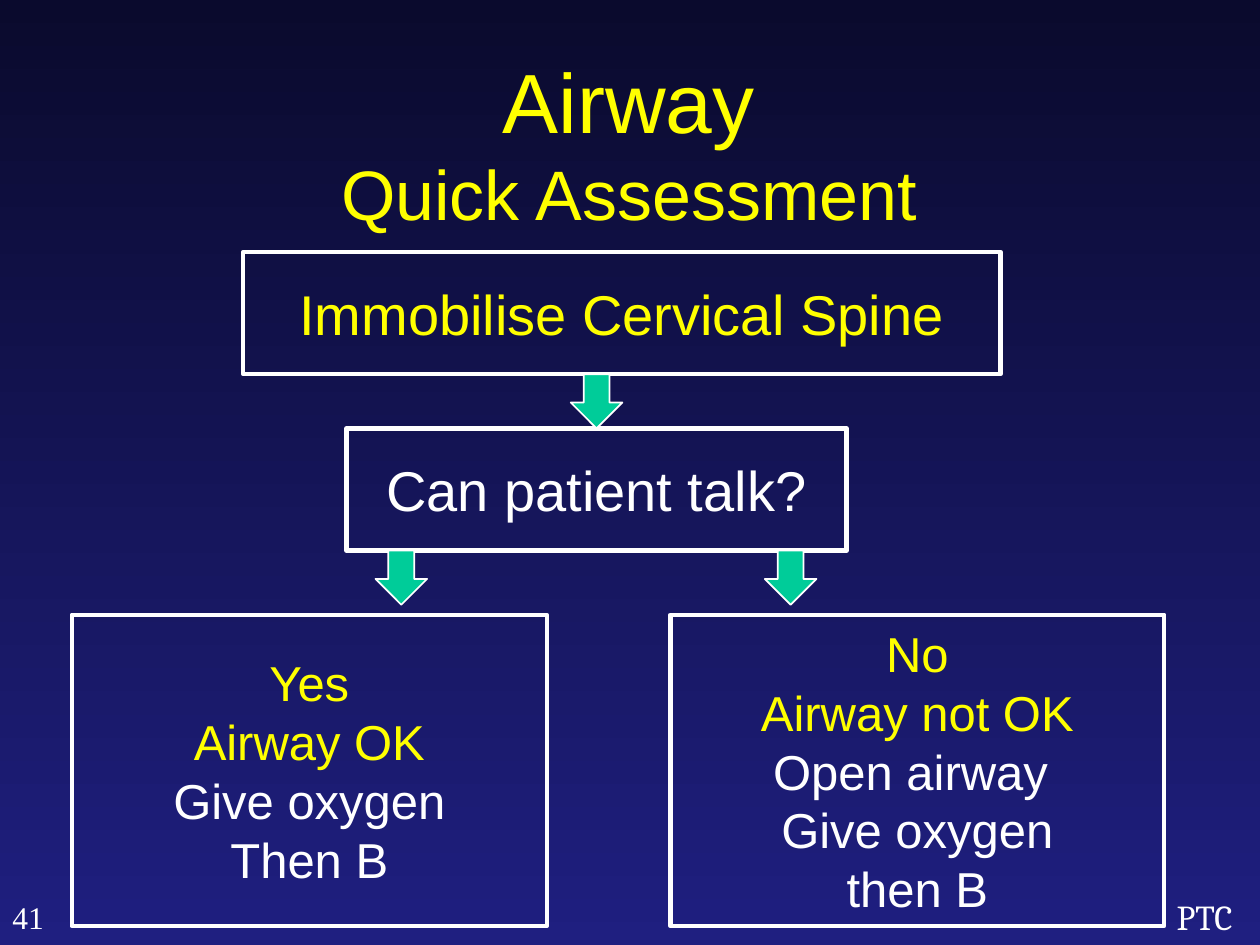
from dataclasses import dataclass

from pptx import Presentation
from pptx.dml.color import RGBColor
from pptx.enum.shapes import MSO_SHAPE
from pptx.enum.text import MSO_ANCHOR, PP_ALIGN
from pptx.shapes.autoshape import Shape
from pptx.slide import Slide
from pptx.text.text import TextFrame
from pptx.util import Inches, Pt

WHITE = RGBColor(0xFF, 0xFF, 0xFF)
YELLOW = RGBColor(0xFF, 0xFF, 0x00)
GREEN = RGBColor(0x00, 0xCC, 0x99)
NIGHT = RGBColor(0x0A, 0x0A, 0x2D)
NAVY = RGBColor(0x1F, 0x1F, 0x80)

WIDE, HIGH = Inches(10), Inches(7.5)
COLS, ROWS = 100, 75


@dataclass(frozen=True)
class Area:
    """Place on the grid, in columns and rows."""
    col: float
    row: float
    cols: float
    rows: float

    def spot(self) -> tuple[int, int, int, int]:
        """Turn grid cells into slide lengths."""
        x, y = WIDE / COLS, HIGH / ROWS
        return (round(self.col * x), round(self.row * y),
                round(self.cols * x), round(self.rows * y))


@dataclass(frozen=True)
class Line:
    """One line of text with its look."""
    text: str
    size: int
    tint: RGBColor = WHITE
    font: str = "Arial"


@dataclass(frozen=True)
class Step:
    """One outlined box of the flow."""
    area: Area
    lines: tuple[Line, ...]


BOX, TOP, MID, LOW = 9.7, 20, 34, 48.8
STEPS = (
    Step(Area(27.5, MID, 39.7, BOX), (Line("Can patient talk?", 32),)),
    Step(Area(5.7, LOW, 37.7, 24.7), (
        Line("Yes", 28, YELLOW), Line("Airway OK", 28, YELLOW),
        Line("Give oxygen", 28), Line("Then B", 28))),
    Step(Area(53.2, LOW, 39.2, 24.7), (
        Line("No", 28, YELLOW), Line("Airway not OK", 28, YELLOW),
        Line("Open airway ", 28), Line("Give oxygen", 28),
        Line("then B", 28))),
    Step(Area(19.3, TOP, 60.1, BOX),
         (Line("Immobilise Cervical Spine", 32, YELLOW),)),
)
ARROWS = ((45.3, TOP + BOX), (60.7, MID + BOX), (29.8, MID + BOX))
TITLE = (Line("Airway", 48, YELLOW), Line("Quick Assessment", 40, YELLOW))
MARKS = (
    (Area(92.4, 70.6, 7.8, 4.4), Line("PTC", 20, font="Cambria")),
    (Area(0, 70.8, 4.5, 4), Line("41", 18, font="Times New Roman")),
)


def add_run(para, line: Line) -> None:
    """Add one styled run to a paragraph."""
    run = para.add_run()
    run.text = line.text
    run.font.size = Pt(line.size)
    run.font.name = line.font
    run.font.color.rgb = line.tint


def fill_text(frame: TextFrame, lines: tuple[Line, ...]) -> None:
    """Write centred lines, one paragraph each."""
    frame.word_wrap = False
    frame.vertical_anchor = MSO_ANCHOR.MIDDLE
    for i, line in enumerate(lines):
        para = frame.add_paragraph() if i else frame.paragraphs[0]
        para.alignment = PP_ALIGN.CENTER
        add_run(para, line)


def add_form(slide: Slide, kind: MSO_SHAPE, area: Area, width: float) -> Shape:
    """Add a flat shape with a white outline."""
    form = slide.shapes.add_shape(kind, *area.spot())
    form.shadow.inherit = False
    form.line.color.rgb = WHITE
    form.line.width = Pt(width)
    return form


def add_step(slide: Slide, step: Step) -> None:
    """Draw one box of the flow."""
    box = add_form(slide, MSO_SHAPE.RECTANGLE, step.area, 2.5)
    box.fill.background()
    fill_text(box.text_frame, step.lines)


def add_arrow(slide: Slide, col: float, row: float) -> None:
    """Draw one green arrow pointing down."""
    arrow = add_form(slide, MSO_SHAPE.DOWN_ARROW, Area(col, row, 4.1, 4.3), 1)
    arrow.fill.solid()
    arrow.fill.fore_color.rgb = GREEN


def add_title(slide: Slide) -> None:
    """Write the title and its second line."""
    frame = slide.shapes.add_textbox(*Area(7.4, 5, 85, 12.5).spot()).text_frame
    frame.word_wrap = True
    frame.vertical_anchor = MSO_ANCHOR.MIDDLE
    para = frame.paragraphs[0]
    para.alignment = PP_ALIGN.CENTER
    head, tail = TITLE
    add_run(para, head)
    para.add_line_break()
    add_run(para, tail)


def add_mark(slide: Slide, area: Area, line: Line) -> None:
    """Write a short mark in a corner."""
    frame = slide.shapes.add_textbox(*area.spot()).text_frame
    frame.word_wrap = False
    add_run(frame.paragraphs[0], line)


def paint(slide: Slide) -> None:
    """Shade the slide from top to bottom."""
    fill = slide.background.fill
    fill.gradient()
    fill.gradient_angle = 270
    for stop, tint, place in zip(fill.gradient_stops, (NIGHT, NAVY), (0, 1)):
        stop.color.rgb = tint
        stop.position = place


def main() -> None:
    """Build the slide and save it."""
    deck = Presentation()
    deck.slide_width, deck.slide_height = WIDE, HIGH
    slide = deck.slides.add_slide(deck.slide_layouts[6])
    paint(slide)
    add_title(slide)
    for step in STEPS:
        add_step(slide, step)
    for col, row in ARROWS:
        add_arrow(slide, col, row)
    for area, line in MARKS:
        add_mark(slide, area, line)
    deck.save("out.pptx")


if __name__ == "__main__":
    main()
